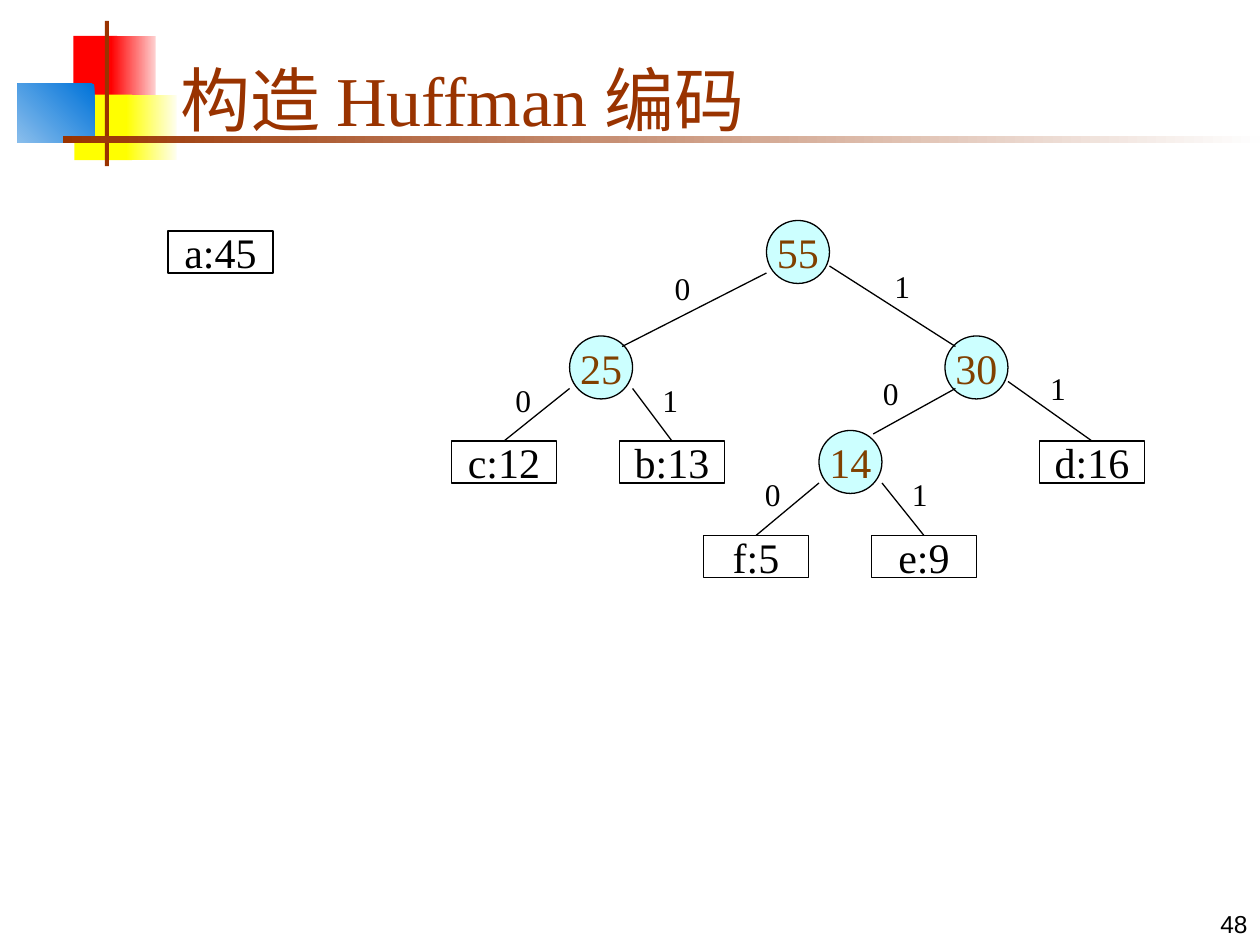
import pptx
import pptx.dml.color
import pptx.enum.shapes
import pptx.enum.text
import pptx.util
from lxml import etree

Pt = pptx.util.Pt
RGBColor = pptx.dml.color.RGBColor
SHAPE = pptx.enum.shapes.MSO_SHAPE
ANCHOR = pptx.enum.text.MSO_ANCHOR
ALIGN = pptx.enum.text.PP_ALIGN

BLACK = RGBColor(0x00, 0x00, 0x00)
RUST = RGBColor(0x99, 0x33, 0x00)
BROWN = RGBColor(0x80, 0x40, 0x00)
CYAN = RGBColor(0xCC, 0xFF, 0xFF)
RED = RGBColor(0xFF, 0x00, 0x00)
PINK = RGBColor(0xFE, 0xD0, 0xD0)
YELLOW = RGBColor(0xFF, 0xFF, 0x00)
CREAM = RGBColor(0xFE, 0xFE, 0xEF)
BLUE = RGBColor(0x00, 0x73, 0xD9)
SKY = RGBColor(0x8A, 0xBE, 0xEC)
WHITE = RGBColor(0xFE, 0xFE, 0xFE)

SERIF = "Times New Roman"
LEAF_W, LEAF_H, NODE_D = 60, 24, 36

# left, top, width, height, gradient colours or one colour, angle
DECOR = [
    (42, 20.5, 25, 37.5, [RED], 0),
    (63.5, 20.5, 25.5, 37.5, [PINK, RED], 180),
    (42.5, 54, 33, 37.5, [YELLOW], 0),
    (72, 54, 29, 37.5, [CREAM, YELLOW], 180),
    (10, 48, 44, 33.5, [BLUE, SKY], 225),
    (60, 12, 2.2, 83, [RUST], 0),
    (36, 77.75, 684, 3.75, [WHITE, RUST], 180),
]
LEAVES = {
    "a:45": (96, 132), "c:12": (258, 252), "b:13": (354, 252),
    "d:16": (594, 252), "f:5": (402, 306), "e:9": (498, 306),
}
NODES = {"55": (438, 126), "25": (325.5, 192), "30": (540, 192), "14": (468, 246)}
# start at the parent, end (a leaf name or a point), bit, left and top of the bit
EDGES = [
    ((438, 156), (355.5, 198), "0", (378.5, 150)),
    ((474, 152), (546, 198), "1", (504, 149)),
    ((325.5, 222), "c:12", "0", (287.5, 214)),
    ((361.5, 222), "b:13", "1", (371.5, 214)),
    ((546, 222), (499, 248), "0", (497.5, 210)),
    ((576, 218), "d:16", "1", (593, 207.5)),
    ((468, 276), "f:5", "0", (430, 268)),
    ((504, 276), "e:9", "1", (514, 268)),
]


def write(sp, text, size, color, align=ALIGN.LEFT, anchor=ANCHOR.TOP, wrap=False, font=SERIF):
    tf = sp.text_frame
    frame = {"word_wrap": wrap, "vertical_anchor": anchor,
             "margin_left": Pt(7.2), "margin_right": Pt(7.2),
             "margin_top": Pt(3.6), "margin_bottom": Pt(3.6)}
    for name, value in frame.items():
        setattr(tf, name, value)
    p = tf.paragraphs[0]
    p.alignment = align
    r = p.add_run()
    r.text = text
    for name, value in {"name": font, "size": Pt(size)}.items():
        setattr(r.font, name, value)
    r.font.color.rgb = color


def add_decor(s, left, top, width, height, colors, angle):
    sp = s.shapes.add_shape(SHAPE.RECTANGLE, Pt(left), Pt(top), Pt(width), Pt(height))
    sp.shadow.inherit = False
    sp.line.fill.background()
    if len(colors) == 1:
        sp.fill.solid()
        sp.fill.fore_color.rgb = colors[0]
        return
    sp.fill.gradient()
    sp.fill.gradient_angle = angle
    for stop, color, position in zip(sp.fill.gradient_stops, colors, (0, 1)):
        stop.color.rgb = color
        stop.position = position


def add_title(s, text):
    sp = s.shapes.title
    box = {"left": 96, "top": 18, "width": 613.5, "height": 66}
    for name, value in box.items():
        setattr(sp, name, Pt(value))
    write(sp, text, 40, RUST, anchor=ANCHOR.BOTTOM, wrap=True)
    # In front of the decoration
    sp.element.getparent().append(sp.element)


def add_tree_shape(s, kind, text, left, top, width, height, fill, color):
    sp = s.shapes.add_shape(kind, Pt(left), Pt(top), Pt(width), Pt(height))
    sp.shadow.inherit = False
    if fill is None:
        sp.fill.background()
    else:
        sp.fill.solid()
        sp.fill.fore_color.rgb = fill
    sp.line.color.rgb = BLACK
    sp.line.width = Pt(0.75)
    write(sp, text, 24, color, ALIGN.CENTER, ANCHOR.MIDDLE)
    return sp


def add_text(s, text, left, top, width, height, size, color, **style):
    sp = s.shapes.add_textbox(Pt(left), Pt(top), Pt(width), Pt(height))
    write(sp, text, size, color, **style)


def add_edge(s, start, end, leaves):
    x, y = (0, 0) if end in leaves else end
    line = s.shapes.add_connector(pptx.enum.shapes.MSO_CONNECTOR.STRAIGHT,
                                  Pt(start[0]), Pt(start[1]), Pt(x), Pt(y))
    if end in leaves:
        line.end_connect(leaves[end], 0)
    line.line.color.rgb = BLACK
    line.line.width = Pt(0.75)
    etree.SubElement(line.element.spPr, pptx.oxml.ns.qn("a:effectLst"))


def main():
    prs = pptx.Presentation()
    prs.slide_width, prs.slide_height = Pt(720), Pt(540)
    s = prs.slides.add_slide(prs.slide_layouts[5])
    for decor in DECOR:
        add_decor(s, *decor)
    add_title(s, "构造 Huffman 编码")

    leaves = {}
    for text, (left, top) in LEAVES.items():
        leaves[text] = add_tree_shape(s, SHAPE.RECTANGLE, text, left, top,
                                      LEAF_W, LEAF_H, None, BLACK)
    for text, (left, top) in NODES.items():
        add_tree_shape(s, SHAPE.OVAL, text, left, top, NODE_D, NODE_D, CYAN, BROWN)
    for start, end, bit, (left, top) in EDGES:
        add_edge(s, start, end, leaves)
        add_text(s, bit, left, top, 24.5, 29, 18, BLACK)

    add_text(s, "48", 570, 504, 150, 36, 14, BLACK, align=ALIGN.RIGHT,
             anchor=ANCHOR.BOTTOM, wrap=True, font="Arial")
    prs.save("out.pptx")


if __name__ == "__main__":
    main()
